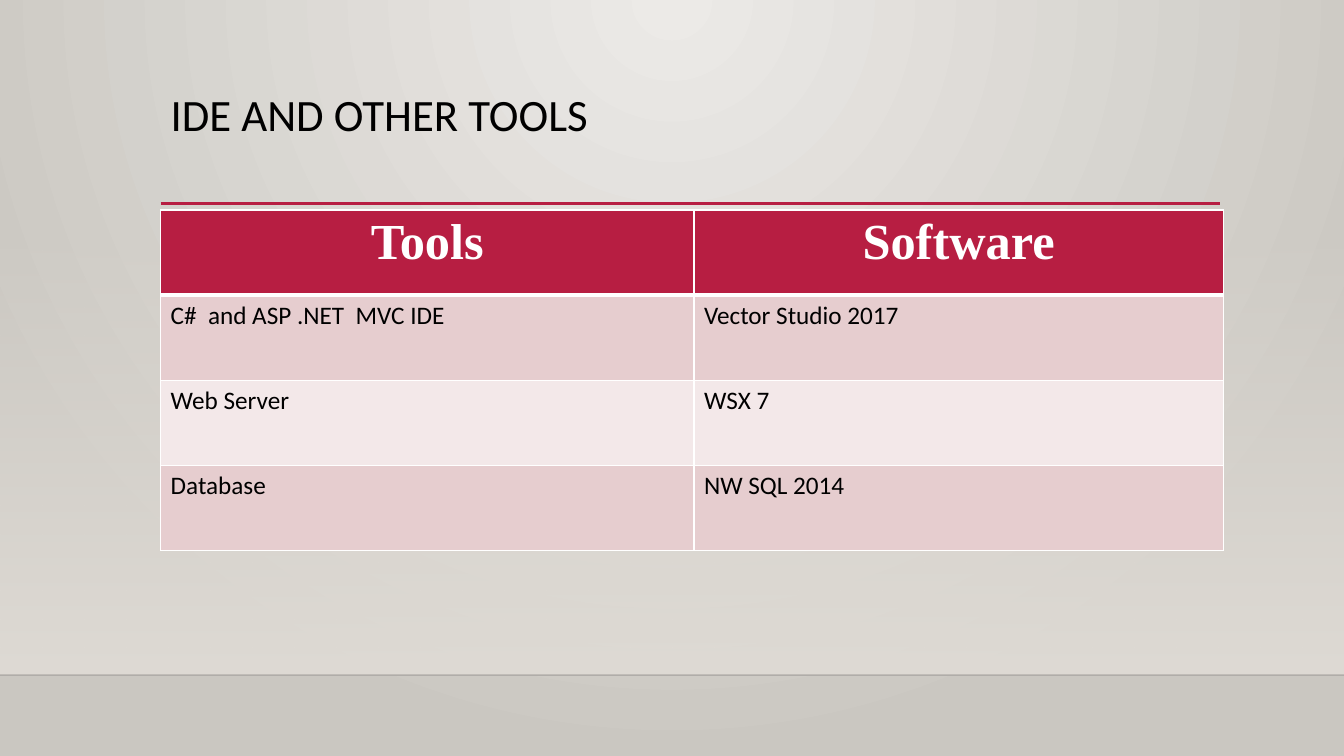
from dataclasses import dataclass

import pptx
import pptx.dml.color
import pptx.enum.shapes
import pptx.enum.text
import pptx.oxml
import pptx.oxml.ns
import pptx.util

PX = 9525  # EMU per px, 96 px to the inch
WIDTH, HEIGHT = 1280, 720
LEFT = 153
FLOOR_Y = 643
COLORS = {
    "accent": "B71E42",
    "band_dark": "E6CDCF",
    "band_light": "F3E8E9",
    "white": "FFFFFF",
    "black": "000000",
    "floor": "000001",
    "wall": "DFDBD5",
    "glow": "ECEAE7",
    "edge": "CAC7C1",
}
NS = pptx.oxml.ns.nsdecls("a", "p")


@dataclass
class TextStyle:
    font: str
    size: int
    color: str
    bold: bool = False
    align: pptx.enum.text.PP_ALIGN = pptx.enum.text.PP_ALIGN.LEFT


@dataclass
class Rule:
    x1: int
    x2: int
    y: int
    color: str
    width: float
    opacity: int = 100


TITLE = TextStyle("Calibri", 32, "black")
HEADER = TextStyle("Times New Roman", 36, "white", True, pptx.enum.text.PP_ALIGN.CENTER)
BODY = TextStyle("Calibri", 18, "black")

RULES = [
    Rule(0, WIDTH, FLOOR_Y, "floor", 1, 20),
    Rule(LEFT, 1162, 194, "accent", 2.5),
]
COLUMNS = [508, 504]
ROW_HEIGHT = 81
ROWS = [
    ("Tools", "Software"),
    ("C#  and ASP .NET  MVC IDE", "Vector Studio 2017"),
    ("Web Server", "WSX 7"),
    ("Database", "NW SQL 2014"),
]


def px(*lengths: int) -> list[pptx.util.Emu]:
    return [pptx.util.Emu(n * PX) for n in lengths]


def rgb(name: str) -> pptx.dml.color.RGBColor:
    return pptx.dml.color.RGBColor.from_string(COLORS[name])


def set_opacity(fill, percent: int) -> None:
    """Make a coloured fill or gradient stop see-through."""
    for color in fill.iter(pptx.oxml.ns.qn("a:srgbClr")):
        color.append(pptx.oxml.parse_xml(f'<a:alpha {NS} val="{percent * 1000}"/>'))


def write(tf, text: str, style: TextStyle) -> None:
    tf.text = text
    p = tf.paragraphs[0]
    p.alignment = style.align
    font = p.runs[0].font
    font.name, font.size, font.bold = style.font, pptx.util.Pt(style.size), style.bold
    font.color.rgb = rgb(style.color)


def set_background(slide) -> None:
    """Spread a round glow from the middle of the top edge."""
    slide._element.cSld.insert(0, pptx.oxml.parse_xml(
        f'<p:bg {NS}><p:bgPr><a:gradFill rotWithShape="1"><a:gsLst>'
        f'<a:gs pos="0"><a:srgbClr val="{COLORS["glow"]}"/></a:gs>'
        f'<a:gs pos="100000"><a:srgbClr val="{COLORS["edge"]}"/></a:gs></a:gsLst>'
        '<a:path path="circle"><a:fillToRect l="43000" t="0" r="43000" b="100000"/></a:path>'
        '</a:gradFill><a:effectLst/></p:bgPr></p:bg>'))


def add_wall(slide) -> None:
    """Add the haze that thickens down to the floor line."""
    top = 212
    sp = slide.shapes.add_shape(pptx.enum.shapes.MSO_SHAPE.RECTANGLE,
                                *px(0, top, WIDTH, FLOOR_Y - top))
    sp.shadow.inherit = False
    sp.line.fill.background()
    sp.fill.gradient()
    sp.fill.gradient_angle = 270
    for stop, position in zip(sp.fill.gradient_stops, (0, 1)):
        stop.color.rgb = rgb("wall")
        stop.position = position
    set_opacity(next(sp._element.iter(pptx.oxml.ns.qn("a:gs"))), 0)


def add_rule(slide, rule: Rule) -> None:
    line = slide.shapes.add_connector(pptx.enum.shapes.MSO_CONNECTOR.STRAIGHT,
                                      *px(rule.x1, rule.y, rule.x2, rule.y))
    line.line.color.rgb = rgb(rule.color)
    line.line.width = pptx.util.Pt(rule.width)
    if rule.opacity < 100:
        set_opacity(line._element.spPr, rule.opacity)
    line._element.spPr.append(pptx.oxml.parse_xml(f"<a:effectLst {NS}/>"))


def add_title(slide, text: str) -> None:
    tf = slide.shapes.add_textbox(*px(LEFT, 84, 1008, 110)).text_frame
    tf.word_wrap = True
    write(tf, text, TITLE)
    tf.paragraphs[0].line_spacing = 0.9


def set_borders(cell, top: int, bottom: int) -> None:
    """Draw white borders, one point wide at the sides."""
    for side, points in {"L": 1, "R": 1, "T": top, "B": bottom}.items():
        cell._tc.get_or_add_tcPr().append(pptx.oxml.parse_xml(
            f'<a:ln{side} {NS} w="{pptx.util.Pt(points)}"><a:solidFill>'
            f'<a:srgbClr val="{COLORS["white"]}"/></a:solidFill></a:ln{side}>'))


def add_tools_table(slide) -> None:
    table = slide.shapes.add_table(
        len(ROWS), len(COLUMNS),
        *px(LEFT, 200, sum(COLUMNS), ROW_HEIGHT * len(ROWS))).table
    table.first_row = table.horz_banding = False
    for column, width in zip(table.columns, COLUMNS):
        column.width = px(width)[0]
    for i, texts in enumerate(ROWS):
        table.rows[i].height = px(ROW_HEIGHT)[0]
        band = "band_dark" if i % 2 else "band_light"
        for j, text in enumerate(texts):
            cell = table.cell(i, j)
            write(cell.text_frame, text, BODY if i else HEADER)
            set_borders(cell, top=3 if i == 1 else 1, bottom=1 if i else 3)
            cell.fill.solid()
            cell.fill.fore_color.rgb = rgb(band if i else "accent")


def main() -> None:
    prs = pptx.Presentation()
    prs.slide_width, prs.slide_height = px(WIDTH, HEIGHT)
    slide = prs.slides.add_slide(prs.slide_layouts[6])
    set_background(slide)
    add_wall(slide)
    for rule in RULES:
        add_rule(slide, rule)
    add_title(slide, "IDE AND OTHER TOOLS")
    add_tools_table(slide)
    prs.save("out.pptx")


if __name__ == "__main__":
    main()
